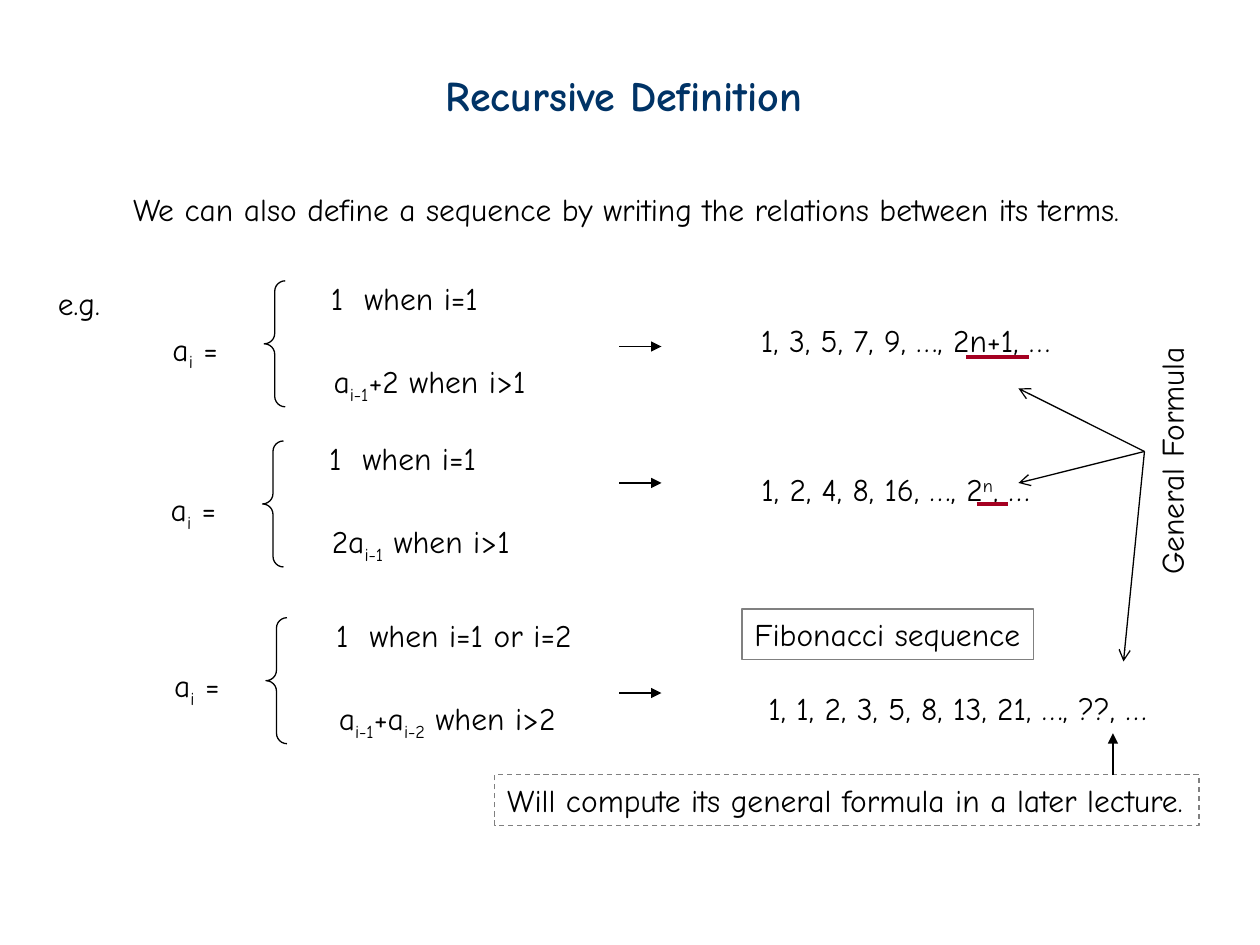
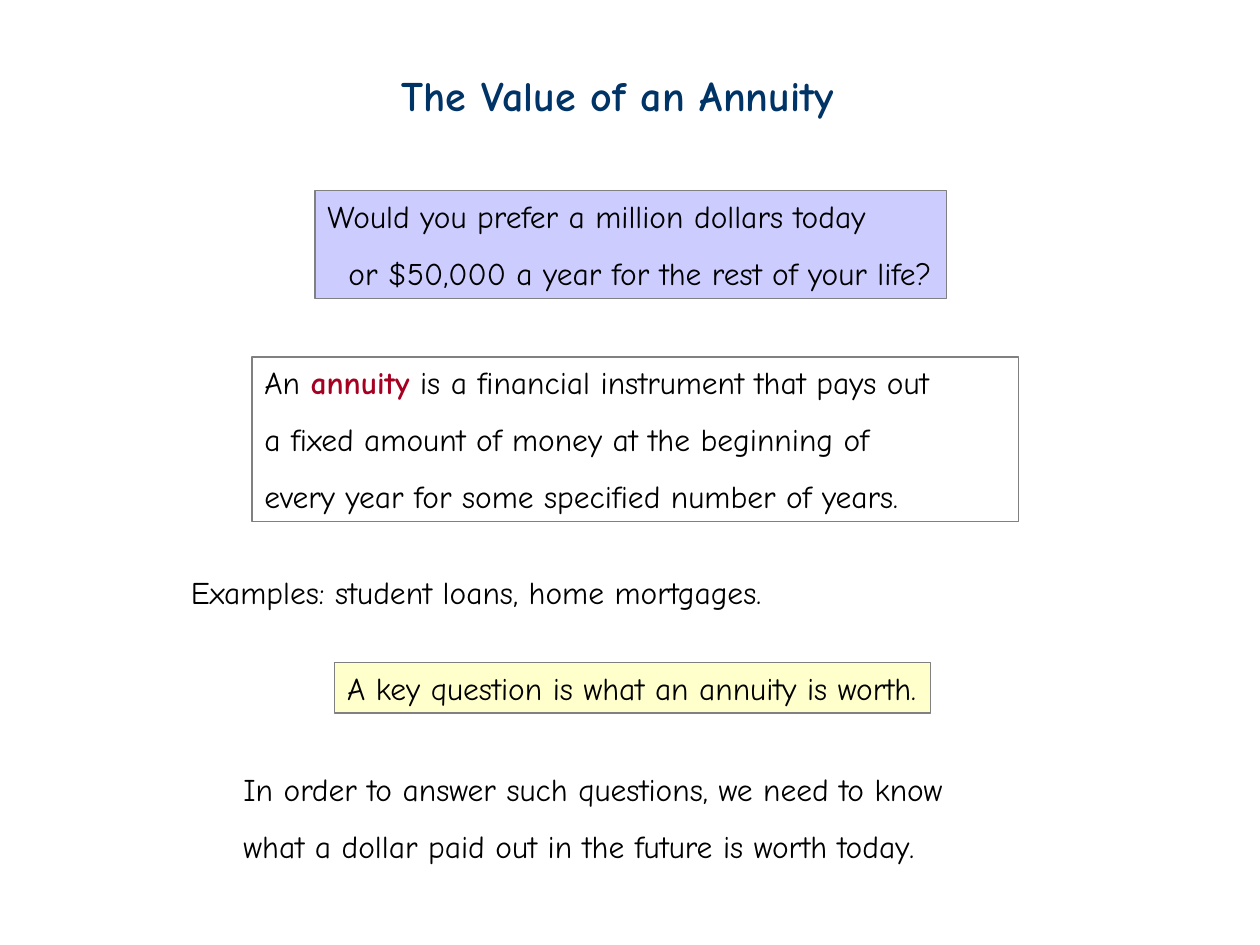
import pptx
import pptx.util
import pptx.dml.color
import pptx.enum.dml
import pptx.enum.shapes
import pptx.enum.text
import pptx.oxml
import pptx.oxml.ns

Pt = pptx.util.Pt

FONT = "Comic Neue"
BLACK, NAVY, RED, GRAY = "000000", "003366", "A50021", "808080"
LILAC, CREAM = "CCCCFF", "FFFFCC"
THIN, THICK = 0.74, 2.24
BASELINES = {"_": "-25000", "^": "30000"}


def color(value):
    return pptx.dml.color.RGBColor.from_string(value)


def add_spans(para, text):
    """Split at "|"; a part led by _ is subscript, ^ superscript, * a key term."""
    for part in text.split("|"):
        mark = part[0] if part[0] in "_^*" else ""
        span = para.add_run()
        span.text = part[len(mark):]
        if mark in BASELINES:
            span.font._element.set("baseline", BASELINES[mark])
        elif mark == "*":
            span.font.bold = True
            span.font.color.rgb = color(RED)


def write(box, lines, size=18, ink=BLACK, bold=False, wrap=False):
    frame = box.text_frame
    frame.word_wrap = wrap
    frame.auto_size = pptx.enum.text.MSO_AUTO_SIZE.SHAPE_TO_FIT_TEXT
    frame.vertical_anchor = pptx.enum.text.MSO_ANCHOR.TOP
    for index, line in enumerate(lines):
        para = frame.add_paragraph() if index else frame.paragraphs[0]
        para.alignment = pptx.enum.text.PP_ALIGN.LEFT
        if index:
            para.line_spacing = 1.5
        para.font.name = FONT
        para.font.size = Pt(size)
        para.font.bold = bold
        para.font.color.rgb = color(ink)
        add_spans(para, line)


def add_text(page, left, top, width, height, *lines, **style):
    box = page.shapes.add_textbox(Pt(left), Pt(top), Pt(width), Pt(height))
    write(box, lines, **style)
    return box


def add_title(page, left, width, text):
    add_text(page, left, 36, width, 36, text, size=24, ink=NAVY, bold=True)


def outline(shape, ink, weight=THIN):
    shape.line.color.rgb = color(ink)
    shape.line.width = Pt(weight)


def add_preset(page, kind, left, top, width, height, ink, fill=None):
    shape = page.shapes.add_shape(kind, Pt(left), Pt(top), Pt(width), Pt(height))
    shape.shadow.inherit = False
    if fill:
        shape.fill.solid()
        shape.fill.fore_color.rgb = color(fill)
    else:
        shape.fill.background()
    outline(shape, ink)
    return shape


def add_panel(page, left, top, width, height, *lines, fill=None, dashed=False, **style):
    panel = add_preset(page, pptx.enum.shapes.MSO_SHAPE.RECTANGLE,
                       left, top, width, height, GRAY, fill)
    if dashed:
        panel.line.dash_style = pptx.enum.dml.MSO_LINE.DASH
    write(panel, lines, **style)
    return panel


def add_line(page, start, end, ink=BLACK, weight=THIN, arrow=None):
    line = page.shapes.add_connector(pptx.enum.shapes.MSO_CONNECTOR.STRAIGHT,
                                     *map(Pt, start + end))
    outline(line, ink, weight)
    properties = line._element.spPr
    if arrow:
        tail = pptx.oxml.parse_xml(
            f'<a:tailEnd {pptx.oxml.ns.nsdecls("a")} type="{arrow}"/>')
        properties.find(pptx.oxml.ns.qn("a:ln")).append(tail)
    properties.append(pptx.oxml.parse_xml(
        f'<a:effectLst {pptx.oxml.ns.nsdecls("a")}/>'))


def add_definition(page, left, top, first, second, gap=31):
    """Place a_i, its brace and two cases; each case is (text, width)."""
    brace = add_preset(page, pptx.enum.shapes.MSO_SHAPE.LEFT_BRACE,
                       left, top, 12, 72, BLACK)
    brace.adjustments[0] = 0.5
    add_text(page, left - 59.5, top + 24.25, 42, 31.5, "a|_i| =")
    add_text(page, left + gap, top - 4.5, first[1], 29, first[0])
    add_text(page, left + gap + 1.5, top + 42.75, second[1], 31.5, second[0])


def build_recursion(page):
    add_title(page, 247.75, 219, "Recursive Definition")
    add_text(page, 69, 105.25, 581, 29,
             "We can also define a sequence by writing the relations between its terms.")
    add_text(page, 26, 158.5, 40, 29, "e.g.")

    # Definitions
    add_definition(page, 151, 160.5, ("1  when i=1", 100), ("a|_i-1|+2 when i>1", 126))
    add_definition(page, 150, 252, ("1  when i=1", 100), ("2a|_i-1| when i>1", 118))
    add_definition(page, 152, 353, ("1  when i=1 or i=2", 151),
                   ("a|_i-1|+a|_i-2| when i>2", 140), gap=33)
    for middle in (198, 276, 396):
        add_line(page, (354, middle), (378, middle), arrow="triangle")

    # Resulting sequences, with their general terms underlined
    add_text(page, 427.75, 180, 181, 29, "1, 3, 5, 7, 9, …, 2n+1, …")
    add_text(page, 428, 265, 170, 29, "1, 2, 4, 8, 16, …, 2|^n|, …")
    add_text(page, 432, 390, 232, 29, "1, 1, 2, 3, 5, 8, 13, 21, …, ??, …")
    add_line(page, (552, 204), (588, 204), RED, THICK)
    add_line(page, (558, 288), (576, 288), RED, THICK)

    # Fibonacci name and remark
    add_panel(page, 424, 348, 166.5, 29, "Fibonacci sequence")
    add_panel(page, 282.75, 442.75, 402.5, 29,
              "Will compute its general formula in a later lecture.", dashed=True)
    add_line(page, (636, 443), (636, 419), arrow="triangle")

    # General formula pointers
    label = add_text(page, 596, 247.5, 147, 29, "General Formula")
    label.rotation = 270
    for target in ((582, 222), (582, 276), (642, 378)):
        add_line(page, (654, 258), target, arrow="arrow")


def build_annuity(page):
    add_title(page, 222.5, 263, "The Value of an Annuity")
    question = add_panel(page, 180, 109, 361, 61.5,
                         "Would you prefer a million dollars today",
                         "or $50,000 a year for the rest of your life?", fill=LILAC)
    indented = question.text_frame.paragraphs[1]._p.get_or_add_pPr()
    indented.set("marL", str(Pt(12)))
    add_panel(page, 144, 204, 438, 94,
              "An |*annuity| is a financial instrument that pays out",
              "a fixed amount of money at the beginning of",
              "every year for some specified number of years.", wrap=True)
    add_text(page, 102, 324, 516, 29,
             "Examples: student loans, home mortgages.", wrap=True)
    add_panel(page, 191.25, 378.5, 340.5, 29,
              "A key question is what an annuity is worth.", fill=CREAM)
    add_text(page, 132, 436.5, 456, 61.5,
             "In order to answer such questions, we need to know",
             "what a dollar paid out in the future is worth today.", wrap=True)


def main():
    deck = pptx.Presentation()
    deck.slide_width, deck.slide_height = Pt(720), Pt(540)
    for build in (build_recursion, build_annuity):
        build(deck.slides.add_slide(deck.slide_layouts[6]))
    deck.save("out.pptx")


main()
